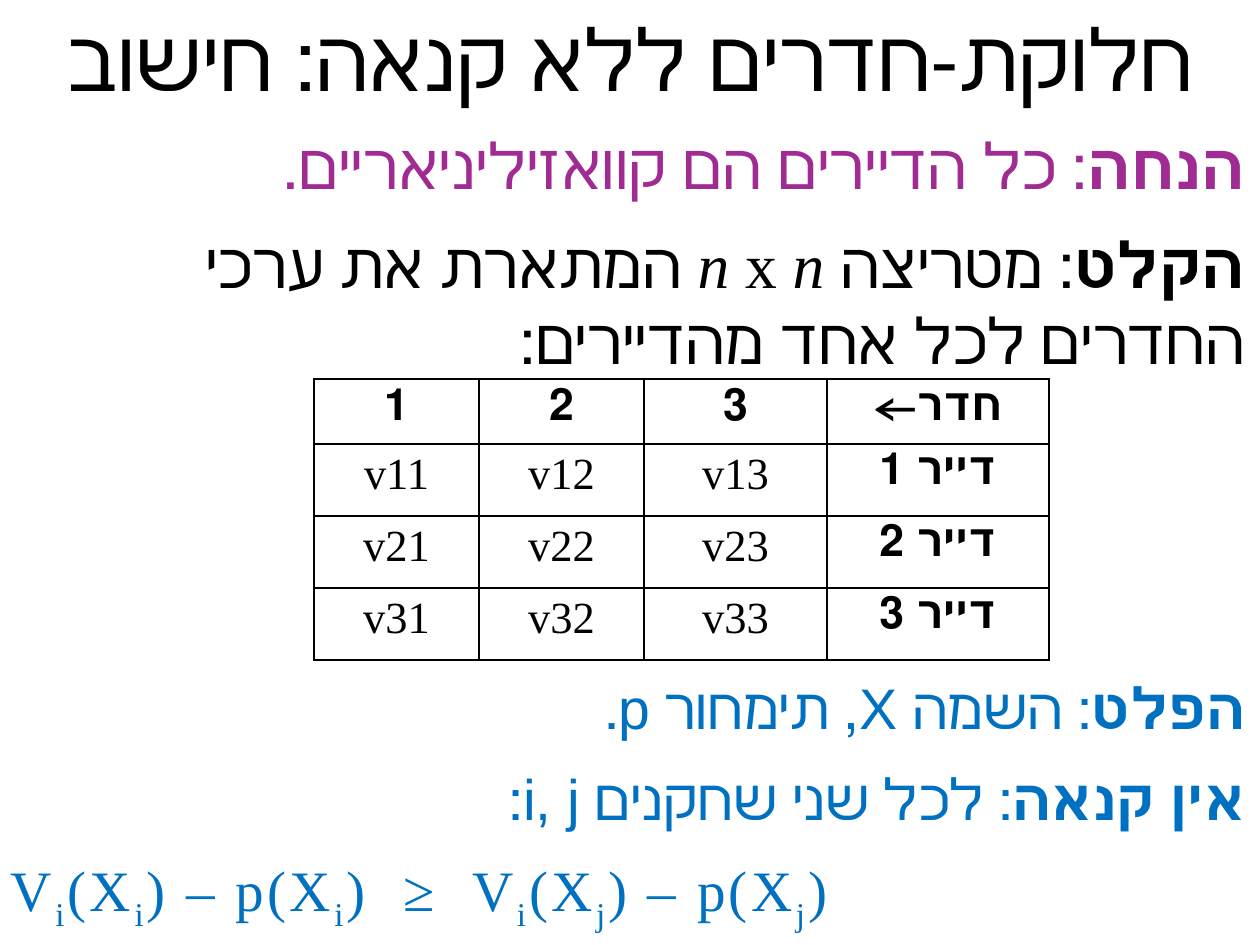
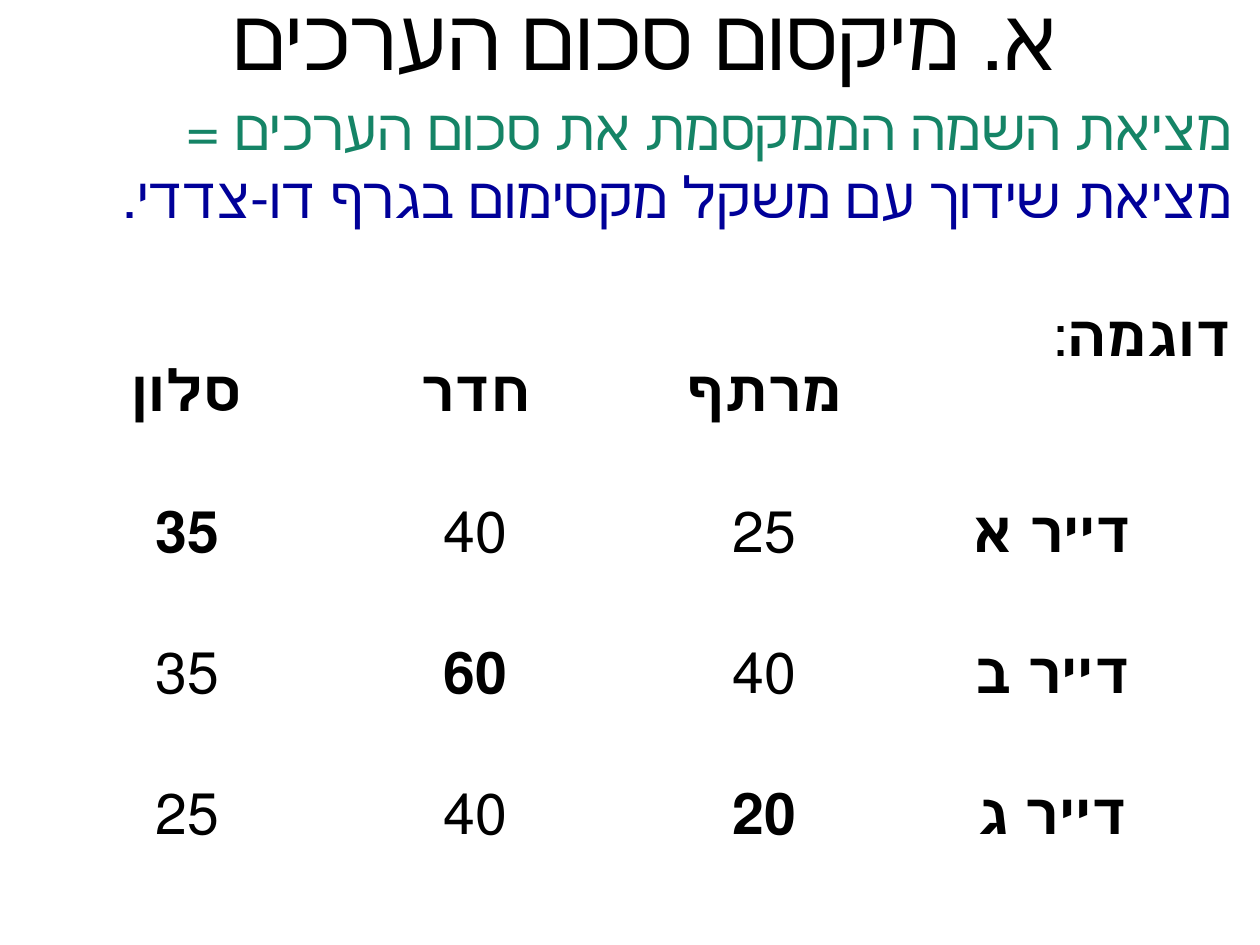
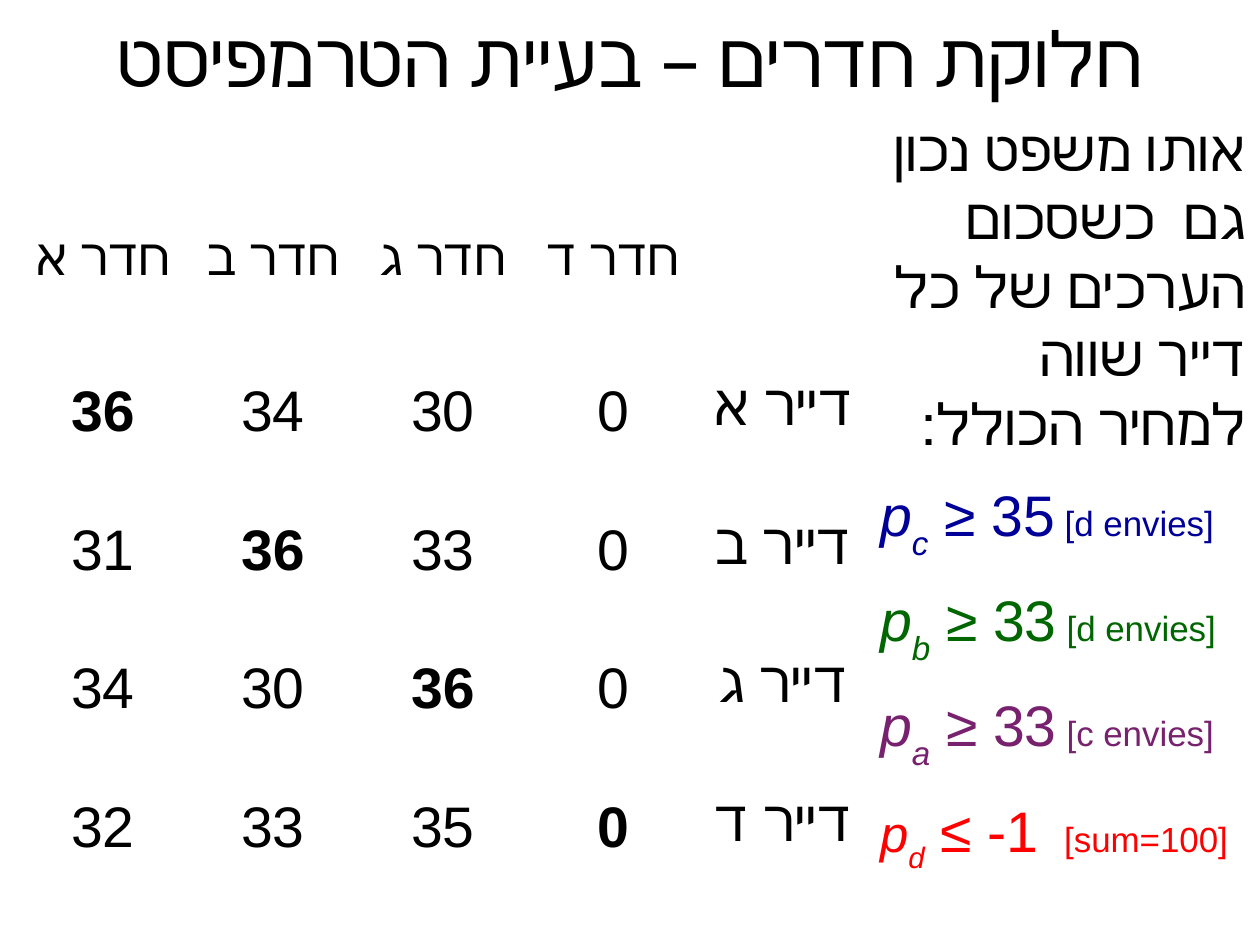
from lxml import etree
from pptx import Presentation
from pptx.dml.color import RGBColor
from pptx.enum.text import MSO_ANCHOR, PP_ALIGN
from pptx.oxml.ns import qn
from pptx.util import Emu, Pt

CENTER, LEFT, RIGHT = PP_ALIGN.CENTER, PP_ALIGN.LEFT, PP_ALIGN.RIGHT
MIDDLE, TOP = MSO_ANCHOR.MIDDLE, MSO_ANCHOR.TOP

PX = 8000
WIDTH, HEIGHT = 1260, 945
BLANK = 6
SANS, SERIF = "Arial", "Times New Roman"
GAP = 14.2
COLORS = {
    "text": "000000",
    "assumption": "A02B93",
    "output": "0070C0",
    "goal": "158466",
    "matching": "000099",
    "second_price": "006600",
    "first_price": "77216F",
    "last_price": "FF0000",
}
BASE = {"size": 36, "font": SANS, "color": "text", "bold": False,
        "italic": False, "shift": 0, "spacing": 0}
BOLD, ITALIC = {"bold": True}, {"italic": True}


def px(length):
    return Emu(length * PX)


def write(paragraph, runs, align=RIGHT, rtl=True, before=0, **style):
    paragraph.alignment = align
    paragraph.space_before = Pt(before)
    paragraph._p.get_or_add_pPr().set("rtl", "1" if rtl else "0")
    for text, own in runs:
        look = {**BASE, **style, **own}
        run = paragraph.add_run()
        run.text = text
        font = run.font
        font.name = look["font"]
        font.size = Pt(look["size"])
        font.bold = look["bold"]
        font.italic = look["italic"]
        font.color.rgb = RGBColor.from_string(COLORS[look["color"]])
        properties = run._r.get_or_add_rPr()
        if look["shift"]:
            properties.set("baseline", str(look["shift"] * 1000))
        if look["spacing"]:
            properties.set("spc", str(look["spacing"] * 100))


def place_text(slide, box, paragraphs, anchor=TOP, inset=(0, 0)):
    frame = slide.shapes.add_textbox(*map(px, box)).text_frame
    frame.word_wrap = True
    frame.vertical_anchor = anchor
    frame.margin_left = frame.margin_right = px(inset[0])
    frame.margin_top = frame.margin_bottom = px(inset[1])
    for index, (runs, options) in enumerate(paragraphs):
        paragraph = frame.add_paragraph() if index else frame.paragraphs[0]
        write(paragraph, runs, **options)


def place_title(slide, text, left=0, top=0, size=54):
    place_text(slide, (left, top, WIDTH, 114),
               [([(text, {})], {"align": CENTER, "size": size})], MIDDLE)


def draw_borders(cell):
    properties = cell._tc.get_or_add_tcPr()
    for position, side in enumerate(("a:lnL", "a:lnR", "a:lnT", "a:lnB")):
        line = etree.Element(qn(side), w="12700")
        fill = etree.SubElement(line, qn("a:solidFill"))
        etree.SubElement(fill, qn("a:srgbClr"), val=COLORS["text"])
        properties.insert(position, line)


def place_values(slide, corner, widths, heights, header, tenants, values,
                 header_style, tenant_style, value_style,
                 assigned=False, bordered=False):
    box = (*corner, sum(widths), sum(heights))
    table = slide.shapes.add_table(len(heights), len(widths), *map(px, box)).table
    table.first_row = table.horz_banding = False
    for column, width in zip(table.columns, widths):
        column.width = px(width)
    for row, height in zip(table.rows, heights):
        row.height = px(height)
    grid = [header] + [line + [tenant] for line, tenant in zip(values, tenants)]
    for row, line in enumerate(grid):
        for column, text in enumerate(line):
            cell = table.cell(row, column)
            cell.fill.background()
            if bordered:
                draw_borders(cell)
            if row == 0:
                style = header_style
            elif column == len(widths) - 1:
                style = tenant_style
            else:
                style = {**value_style, "bold": assigned and row - 1 == column}
            if text:
                write(cell.text_frame.paragraphs[0], [(text, {})], align=CENTER, **style)


def envy_inequality():
    runs = []
    for text, index in (("V", "i"), ("(X", "i"), (") – p(X", "i"), (")  ≥  V", "i"),
                        ("(X", "j"), (") – p(X", "j")):
        runs += [(text, {}), (index, {"shift": -25})]
    return runs + [(")", {})]


def computation_slide(slide):
    place_title(slide, "חלוקת-חדרים ללא קנאה: חישוב")
    math = {"font": SERIF}
    output = {"color": "output", "before": GAP}
    place_text(slide, (11, 126, 1234, 789), [
        ([("הנחה", BOLD), (": כל הדיירים הם קוואזיליניאריים.", {})],
         {"size": 40, "color": "assumption", "before": GAP}),
        ([("הקלט", BOLD), (": מטריצה ", {}), ("n ", {**math, **ITALIC}), ("x ", math),
          ("n", {**math, **ITALIC}), (" המתארת את ערכי החדרים לכל אחד מהדיירים:", {})],
         {"size": 40, "before": GAP}),
        ([("הפלט", BOLD), (": השמה X, תימחור p.", {})], {**output, "before": 186}),
        ([("אין קנאה", BOLD), (": לכל שני שחקנים i, j:", {})], output),
        (envy_inequality(),
         {**output, **math, "align": LEFT, "rtl": False, "spacing": 2}),
    ])
    heading = {"size": 28, "bold": True}
    rooms = range(1, 4)
    place_values(
        slide, (314, 379), [165, 165, 183, 222], [64, 72, 72, 72],
        [str(room) for room in rooms] + ["חדר←"],
        [f"דייר {tenant}" for tenant in rooms],
        [[f"v{tenant}{room}" for room in rooms] for tenant in rooms],
        heading, heading, {"size": 28, "font": SERIF, "rtl": False}, bordered=True)


def maximum_slide(slide):
    place_title(slide, "א. מיקסום סכום הערכים", 15, -21)
    place_values(
        slide, (43, 360), [288, 289] * 2, [141] * 4,
        ["סלון", "חדר", "מרתף", ""],
        ["דייר א", "דייר ב", "דייר ג"],
        [["35", "40", "25"], ["35", "60", "40"], ["25", "40", "20"]],
        BOLD, BOLD, {}, assigned=True)
    place_text(slide, (34, 87, 1209, 267), [
        ([("מציאת השמה הממקסמת את סכום הערכים =", {})], {"color": "goal"}),
        ([("מציאת שידוך עם משקל מקסימום בגרף דו-צדדי.", {})], {"color": "matching"}),
        ([("דוגמה", BOLD), (":", {})], {"before": 43.4}),
    ], inset=(11, 6))


def price_bound(room, bound, reason, color, size=36):
    symbol = {"size": size, **ITALIC}
    return ([("p", symbol), (room, {**symbol, "shift": -33}),
             (f" {bound}", {}), (f" [{reason}]", {"size": 22})],
            {"align": LEFT, "rtl": False, "before": GAP, "color": color})


def hitchhiker_slide(slide):
    place_title(slide, "חלוקת חדרים – בעיית הטרמפיסט", size=48)
    place_text(slide, (880, 114, 366, 789), [
        ([("אותו משפט נכון גם  כשסכום הערכים של כל דייר שווה למחיר הכולל:", {})],
         {"before": GAP}),
        price_bound("c", "≥ 35", "d envies", "matching"),
        price_bound("b", "≥ 33", "d envies", "second_price"),
        price_bound("a", "≥ 33", "c envies", "first_price"),
        price_bound("d", "≤ -1 ", "sum=100", "last_price", 32),
    ])
    letters = "אבגד"
    place_values(
        slide, (18, 229), [170] * 5, [145] + [139, 138] * 2,
        [f"חדר {letter}" for letter in letters] + [""],
        [f"דייר {letter}" for letter in letters],
        [["36", "34", "30", "0"], ["31", "36", "33", "0"],
         ["34", "30", "36", "0"], ["32", "33", "35", "0"]],
        {"size": 32}, {}, {"rtl": False}, assigned=True)


def main():
    deck = Presentation()
    deck.slide_width, deck.slide_height = px(WIDTH), px(HEIGHT)
    for build in (computation_slide, maximum_slide, hitchhiker_slide):
        build(deck.slides.add_slide(deck.slide_layouts[BLANK]))
    deck.save("out.pptx")


if __name__ == "__main__":
    main()
